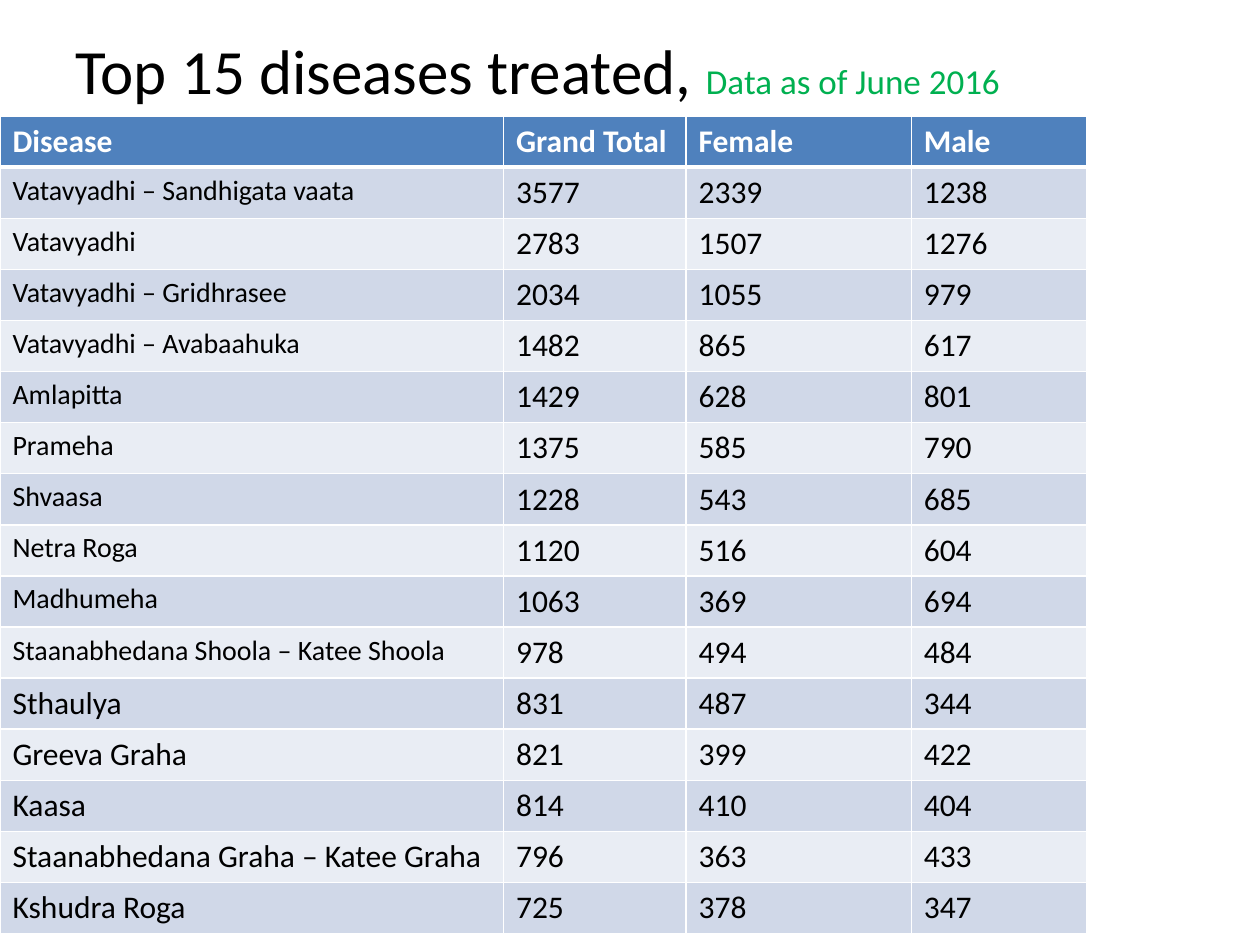
import pptx
import pptx.dml.color
import pptx.enum.text
import pptx.oxml
import pptx.oxml.ns
import pptx.util

Cm = pptx.util.Cm
Pt = pptx.util.Pt

COLOURS = {
    "text": "000000",
    "date": "00B050",
    "header": "4F81BD",
    "header_text": "FFFFFF",
    "odd_row": "D0D8E8",
    "even_row": "E9EDF4",
    "border": "FFFFFF",
}
FONT = "Calibri"
COLUMN_WIDTHS = [10.15, 3.68, 4.54, 3.53]
SMALL_NAME_ROWS = range(1, 11)
ROWS = [
    ("Disease", "Grand Total", "Female", "Male"),
    ("Vatavyadhi – Sandhigata vaata", 3577, 2339, 1238),
    ("Vatavyadhi", 2783, 1507, 1276),
    ("Vatavyadhi – Gridhrasee", 2034, 1055, 979),
    ("Vatavyadhi – Avabaahuka", 1482, 865, 617),
    ("Amlapitta", 1429, 628, 801),
    ("Prameha", 1375, 585, 790),
    ("Shvaasa", 1228, 543, 685),
    ("Netra Roga", 1120, 516, 604),
    ("Madhumeha", 1063, 369, 694),
    ("Staanabhedana Shoola – Katee Shoola", 978, 494, 484),
    ("Sthaulya", 831, 487, 344),
    ("Greeva Graha", 821, 399, 422),
    ("Kaasa", 814, 410, 404),
    ("Staanabhedana Graha – Katee Graha", 796, 363, 433),
    ("Kshudra Roga", 725, 378, 347),
]


def colour(name):
    """Return the named palette colour."""
    return pptx.dml.color.RGBColor.from_string(COLOURS[name])


def set_borders(cell, bottom_width, top_width):
    """Draw solid borders on the four sides of a cell."""
    properties = cell._tc.get_or_add_tcPr()
    sides = {"lnL": 1, "lnR": 1, "lnT": top_width, "lnB": bottom_width}
    for index, (side, width) in enumerate(sides.items()):
        properties.insert(index, pptx.oxml.parse_xml(
            f'<a:{side} {pptx.oxml.ns.nsdecls("a")} w="{Pt(width)}"><a:solidFill>'
            f'<a:srgbClr val="{COLOURS["border"]}"/></a:solidFill></a:{side}>'))


def add_title(slide, left, top, width, height):
    """Fill the title placeholder with the heading and its date."""
    title = slide.shapes.title
    title.left, title.top, title.width, title.height = left, top, width, height
    frame = title.text_frame
    frame.vertical_anchor = pptx.enum.text.MSO_ANCHOR.MIDDLE
    paragraph = frame.paragraphs[0]
    paragraph.alignment = pptx.enum.text.PP_ALIGN.LEFT
    for text, size, name in (("Top 15 diseases treated, ", 36, "text"),
                             ("Data as of June 2016", 20, "date")):
        run = paragraph.add_run()
        run.text = text
        run.font.name = FONT
        run.font.size = Pt(size)
        run.font.color.rgb = colour(name)


def format_cell(cell, row_index, column_index):
    """Apply the fill, borders and font that suit a cell's position."""
    is_header = row_index == 0
    band = "odd_row" if row_index % 2 else "even_row"
    cell.fill.solid()
    cell.fill.fore_color.rgb = colour("header" if is_header else band)
    set_borders(cell, bottom_width=3 if is_header else 1,
                top_width=3 if row_index == 1 else 1)
    is_small = column_index == 0 and row_index in SMALL_NAME_ROWS
    font = cell.text_frame.paragraphs[0].font
    font.name = FONT
    font.size = Pt(16 if is_small else 18)
    font.bold = is_header
    font.color.rgb = colour("header_text" if is_header else "text")


def add_disease_table(slide, left, top, width, height):
    """Place the disease table, sharing the box among columns and rows."""
    table = slide.shapes.add_table(
        len(ROWS), len(COLUMN_WIDTHS), left, top, width, height).table
    for column, share in zip(table.columns, COLUMN_WIDTHS):
        column.width = round(width * share / sum(COLUMN_WIDTHS))
    for row_index, values in enumerate(ROWS):
        for column_index, value in enumerate(values):
            cell = table.cell(row_index, column_index)
            cell.text = str(value)
            format_cell(cell, row_index, column_index)


def main():
    """Build and save the presentation."""
    presentation = pptx.Presentation()
    presentation.slide_width, presentation.slide_height = Cm(25.4), Cm(19.05)
    slide = presentation.slides.add_slide(presentation.slide_layouts[5])
    add_title(slide, Cm(1.27), Cm(-0.2), Cm(22.86), Cm(3.18))
    add_disease_table(slide, Cm(0), Cm(2.34), Cm(sum(COLUMN_WIDTHS)), Cm(16.48))
    presentation.save("out.pptx")


if __name__ == "__main__":
    main()
